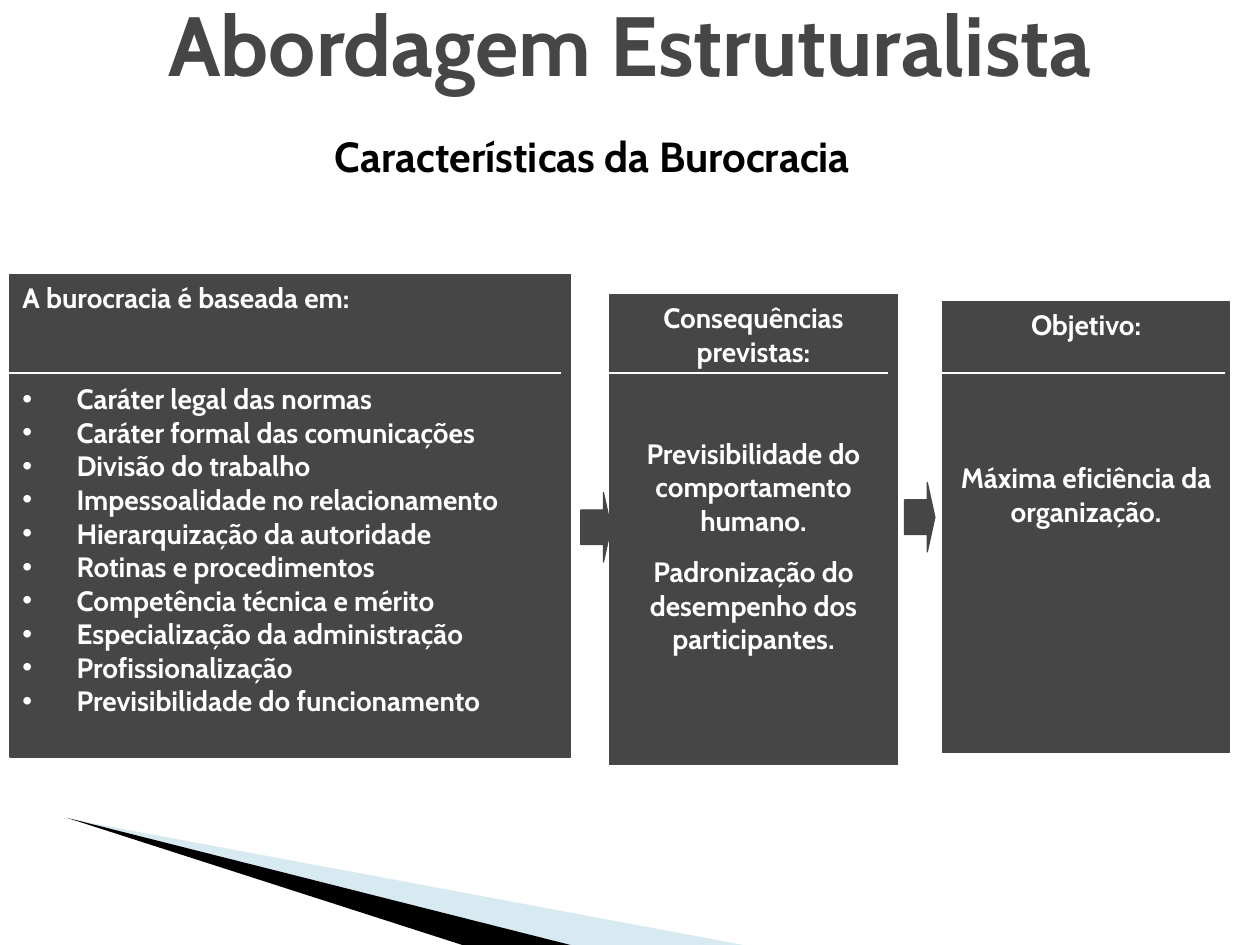
from lxml.etree import SubElement
from pptx import Presentation
from pptx.dml.color import RGBColor
from pptx.enum.shapes import MSO_CONNECTOR as CONN, MSO_SHAPE as SHAPE
from pptx.enum.text import MSO_ANCHOR as ANCHOR, PP_ALIGN as ALIGN
from pptx.oxml.ns import qn
from pptx.util import Inches, Pt

DARK = RGBColor(0x46, 0x46, 0x46)
WHITE = RGBColor(0xFF, 0xFF, 0xFF)
BLACK = RGBColor(0, 0, 0)
PALE_BLUE = RGBColor(0x9F, 0xCB, 0xDC)
FONT, BODY_SIZE = "Cabin", 16
BULLET_INDENT = 0.43
RULE_Y = 2.96

TITLE = "Abordagem Estruturalista"
SUBTITLE = "Características da Burocracia"

# gap: points between heading and body; rule: start and end of the line
PANELS = [
    dict(box=(0.08, 2.18, 4.45, 3.83), rule=(0, 4.45), gap=38.5, bullets=True,
         heading="A burocracia é baseada em:",
         body=["Caráter legal das normas", "Caráter formal das comunicações",
               "Divisão do trabalho", "Impessoalidade no relacionamento",
               "Hierarquização da autoridade", "Rotinas e procedimentos",
               "Competência técnica e mérito", "Especialização da administração",
               "Profissionalização", "Previsibilidade do funcionamento"]),
    dict(box=(4.84, 2.34, 2.28, 3.73), rule=(4.76, 7.05), gap=39, bullets=False,
         heading="Consequências previstas:",
         body=["Previsibilidade do comportamento humano.",
               "Padronização do desempenho dos participantes."]),
    dict(box=(7.48, 2.39, 2.28, 3.58), rule=(7.44, 9.72), gap=68.5, bullets=False,
         heading="Objetivo:", body=["Máxima eficiência da organização."]),
]
ARROWS = [(4.61, 3.91, 0.24, 0.55), (7.18, 3.83, 0.24, 0.55)]
WEDGES = [  # points, colour, opacity in percent
    ([(0.55, 6.5), (5.9, 7.5), (4.53, 7.5)], PALE_BLUE, 40),
    ([(0.53, 6.49), (4.53, 7.5), (3.67, 7.5)], BLACK, 100),
]


def inches(values):
    return [Inches(v) for v in values]


def paint(shape, color, outlined=True):
    shape.shadow.inherit = False
    shape.fill.solid()
    shape.fill.fore_color.rgb = color
    if outlined:
        shape.line.color.rgb = color
        shape.line.width = Pt(0.75)
    else:
        shape.line.fill.background()


def write(p, text, size, color, align=ALIGN.LEFT, before=0):
    p.alignment = align
    p.space_before = Pt(before)
    r = p.add_run()
    r.text = text
    style = dict(name=FONT, size=Pt(size), bold=True)
    for key, value in style.items():
        setattr(r.font, key, value)
    r.font.color.rgb = color


def add_bullet(p):
    pPr = p._p.get_or_add_pPr()
    pPr.set("marL", str(Inches(BULLET_INDENT)))
    pPr.set("indent", str(-Inches(BULLET_INDENT)))
    SubElement(pPr, qn("a:buFont"), typeface="Arial")
    SubElement(pPr, qn("a:buChar"), char="•")


def add_wedge(shapes, points, color, opacity):
    start, *rest = [inches(pt) for pt in points]
    builder = shapes.build_freeform(*start)
    builder.add_line_segments(rest, close=True)
    s = builder.convert_to_shape()
    paint(s, color, outlined=False)
    if opacity < 100:
        clr = s._element.spPr.find(qn("a:solidFill"))[0]
        SubElement(clr, qn("a:alpha"), val=str(opacity * 1000))


def add_label(shapes, box, text, size, color, align, anchor, wrap):
    tf = shapes.add_textbox(*inches(box)).text_frame
    tf.word_wrap = wrap
    tf.vertical_anchor = anchor
    write(tf.paragraphs[0], text, size, color, align)


def add_panel(shapes, panel):
    s = shapes.add_shape(SHAPE.RECTANGLE, *inches(panel["box"]))
    paint(s, DARK)
    tf = s.text_frame
    tf.word_wrap = True
    tf.vertical_anchor = ANCHOR.TOP
    bullets = panel["bullets"]
    align = ALIGN.LEFT if bullets else ALIGN.CENTER
    write(tf.paragraphs[0], panel["heading"], BODY_SIZE, WHITE, align)
    for i, text in enumerate(panel["body"]):
        p = tf.add_paragraph()
        before = panel["gap"] if i == 0 else 0 if bullets else 10
        write(p, text, BODY_SIZE, WHITE, align, before)
        if bullets:
            add_bullet(p)


def add_rule(shapes, x1, x2):
    line = shapes.add_connector(CONN.STRAIGHT, *inches((x1, RULE_Y, x2, RULE_Y)))
    line.line.color.rgb = WHITE
    line.line.width = Pt(0.75)
    SubElement(line._element.spPr, qn("a:effectLst"))


def add_arrow(shapes, box):
    s = shapes.add_shape(SHAPE.RIGHT_ARROW, *inches(box))
    s.adjustments[0], s.adjustments[1] = 0.5, 0.25
    paint(s, DARK)


def main():
    prs = Presentation()
    prs.slide_width, prs.slide_height = inches((10, 7.5))
    shapes = prs.slides.add_slide(prs.slide_layouts[6]).shapes
    for wedge in WEDGES:
        add_wedge(shapes, *wedge)
    add_label(shapes, (0, 0, 10, 0.68), TITLE, 48, DARK,
              ALIGN.CENTER, ANCHOR.MIDDLE, True)
    for panel in PANELS:
        add_panel(shapes, panel)
    for panel in PANELS:
        add_rule(shapes, *panel["rule"])
    for box in ARROWS:
        add_arrow(shapes, box)
    add_label(shapes, (2.56, 0.99, 5.06, 0.5), SUBTITLE, 24, BLACK,
              ALIGN.LEFT, ANCHOR.TOP, True)
    prs.save("out.pptx")


if __name__ == "__main__":
    main()
